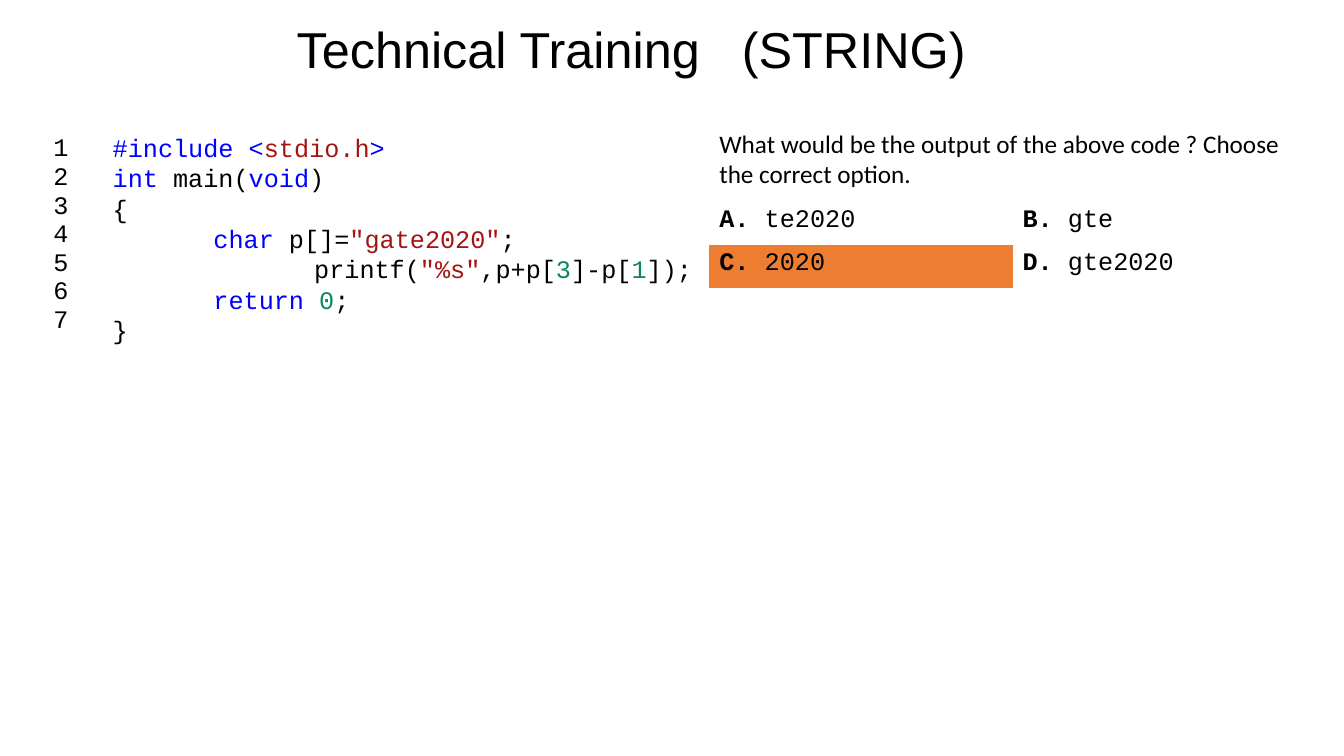
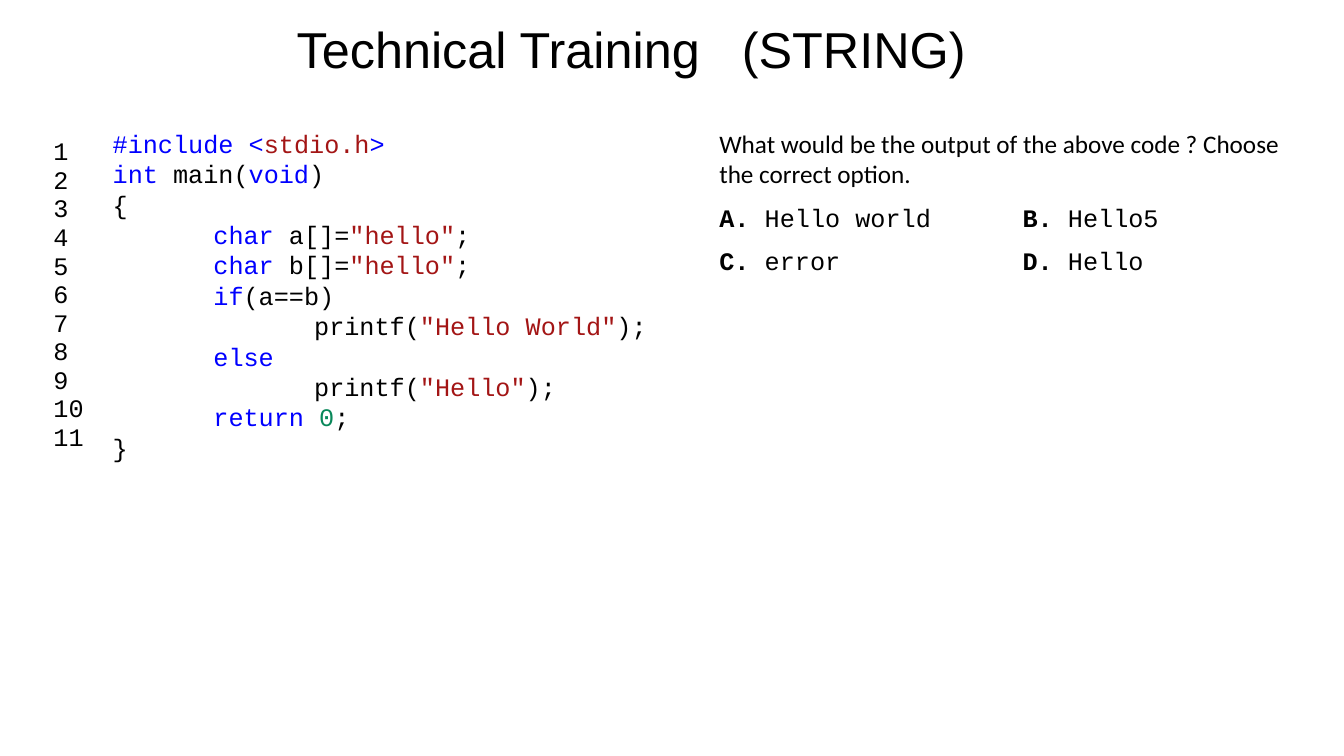
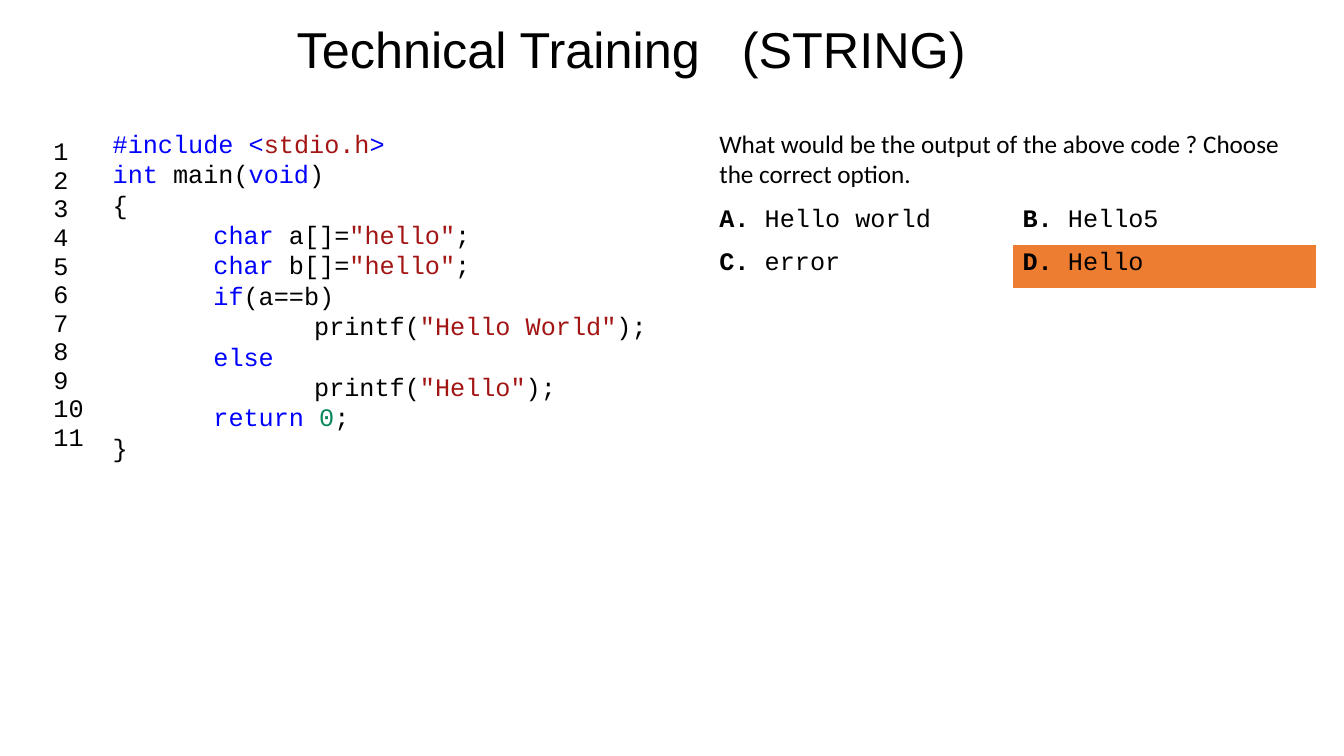
from dataclasses import dataclass

from lxml.etree import SubElement
from pptx import Presentation
from pptx.dml.color import RGBColor as RGB
from pptx.enum.text import MSO_ANCHOR as ANCHOR, MSO_AUTO_SIZE as AUTO, PP_ALIGN as ALIGN
from pptx.oxml.ns import qn
from pptx.util import Pt


@dataclass(frozen=True)
class Theme:
    text: str = "000000"
    keyword: str = "0000FF"
    string: str = "A31515"
    number: str = "09885A"
    answer: str = "ED7D31"
    title_font: str = "Arial"
    body_font: str = "Calibri"
    code_font: str = "Courier New"
    title_size: int = 36
    body_size: int = 18
    code_leading: float = 21.7


T = Theme()
PX = 9144
NO_GRID = "{2D5ABB26-0587-4C30-8999-92F81FD0307C}"
QUESTION = "What would be the output of the above code ? Choose the correct option."


def add_run(p, text, font=T.code_font, size=T.body_size, color=T.text, bold=False):
    r = p.add_run()
    r.text = text
    r.font.name = font
    r.font.size = Pt(size)
    r.font.bold = bold
    r.font.color.rgb = RGB.from_string(color)
    return r


def add_plain_table(slide, left, top, widths, heights):
    box = [v * PX for v in (left, top, sum(widths), sum(heights))]
    table = slide.shapes.add_table(len(heights), len(widths), *box).table
    table.first_row = table.horz_banding = False
    table._tbl.tblPr.find(qn("a:tableStyleId")).text = NO_GRID
    for col, width in zip(table.columns, widths):
        col.width = width * PX
    for row, height in zip(table.rows, heights):
        row.height = height * PX
    for cell in table.iter_cells():
        cell.fill.background()
    return table


K, S, N, B = T.keyword, T.string, T.number, T.text
opening = [
    [("#include <", K), ("stdio.h", S), (">", K)],
    [("int", K), (" main(", B), ("void", K), (")", B)],
    [("{", B)],
]
closing = [
    [("\treturn ", K), ("0", N), (";", B)],
    [("}", B)],
]
offset_code = opening + [
    [("\tchar", K), (" p[]=", B), ('"gate2020"', S), (";", B)],
    [("\t\tprintf(", B), ('"%s"', S), (",p+p[", B), ("3", N), ("]-p[", B), ("1", N), ("]);", B)],
] + closing
compare_code = opening + [
    [("\tchar", K), (" a[]=", B), ('"hello"', S), (";", B)],
    [("\tchar", K), (" b[]=", B), ('"hello"', S), (";", B)],
    [("\tif", K), ("(a==b)", B)],
    [("\t\tprintf(", B), ('"Hello World"', S), (");", B)],
    [("\telse", K)],
    [("\t\tprintf(", B), ('"Hello"', S), (");", B)],
] + closing

offset_layout = dict(code=offset_code, code_box=(102, 126, 601, 260),
                     numbers=(114, 240), bottom=5)
compare_layout = dict(code=compare_code, code_box=(102, 122, 564, 426),
                      numbers=(89, 439), bottom=33)
compare_options = ["Hello world", "Hello5", "error", "Hello"]
quiz = [
    (offset_layout, ["te2020", "gte", "2020", "gte2020"], "C"),
    (compare_layout, compare_options, None),
    (compare_layout, compare_options, "D"),
]

prs = Presentation()
prs.slide_width, prs.slide_height = 1334 * PX, 750 * PX

for layout, options, answer in quiz:
    slide = prs.slides.add_slide(prs.slide_layouts[5])

    title = slide.shapes.title
    title.left, title.top, title.width, title.height = [v * PX for v in (229, 13, 795, 70)]
    tf = title.text_frame
    tf.auto_size = AUTO.NONE
    tf.vertical_anchor = ANCHOR.TOP
    p = tf.paragraphs[0]
    p.alignment = ALIGN.CENTER
    for text, spacing in (("Technical Training", 0), (" ", 2000), ("(STRING)", 0)):
        r = add_run(p, text, T.title_font, T.title_size)
        r._r.get_or_add_rPr().set("spc", str(spacing))

    top, height = layout["numbers"]
    cell = add_plain_table(slide, 43, top, [59], [height]).cell(0, 0)
    cell.vertical_anchor = ANCHOR.MIDDLE
    cell.margin_bottom = layout["bottom"] * PX
    tf = cell.text_frame
    for i in range(len(layout["code"])):
        p = tf.add_paragraph() if i else tf.paragraphs[0]
        add_run(p, str(i + 1))

    table = add_plain_table(slide, 704, 123, [301, 301], [77, 43, 43])
    table.cell(0, 0).merge(table.cell(0, 1))
    add_run(table.cell(0, 0).text_frame.paragraphs[0], QUESTION, T.body_font)
    for i, (letter, option) in enumerate(zip("ABCD", options)):
        cell = table.cell(1 + i // 2, i % 2)
        p = cell.text_frame.paragraphs[0]
        add_run(p, f"{letter}.", bold=True)
        add_run(p, f" {option}")
        if letter == answer:
            cell.fill.solid()
            cell.fill.fore_color.rgb = RGB.from_string(T.answer)

    sp = slide.shapes.add_textbox(*[v * PX for v in layout["code_box"]])
    tf = sp.text_frame
    tf.word_wrap = True
    for i, line in enumerate(layout["code"]):
        p = tf.add_paragraph() if i else tf.paragraphs[0]
        p.line_spacing = Pt(T.code_leading)
        tabs = SubElement(p._p.get_or_add_pPr(), qn("a:tabLst"))
        for stop in (100, 200):
            SubElement(tabs, qn("a:tab"), pos=str(stop * PX), algn="l")
        for text, color in line:
            add_run(p, text, color=color)

prs.save("out.pptx")
